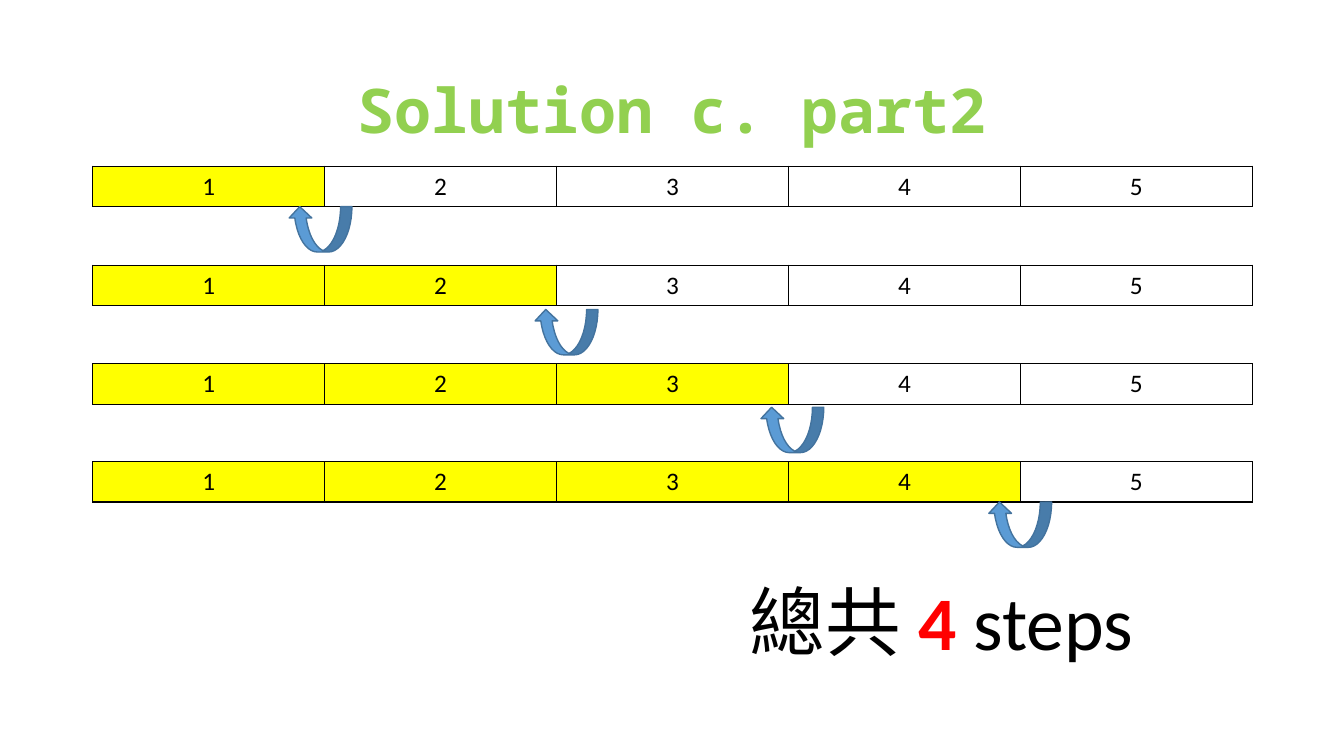
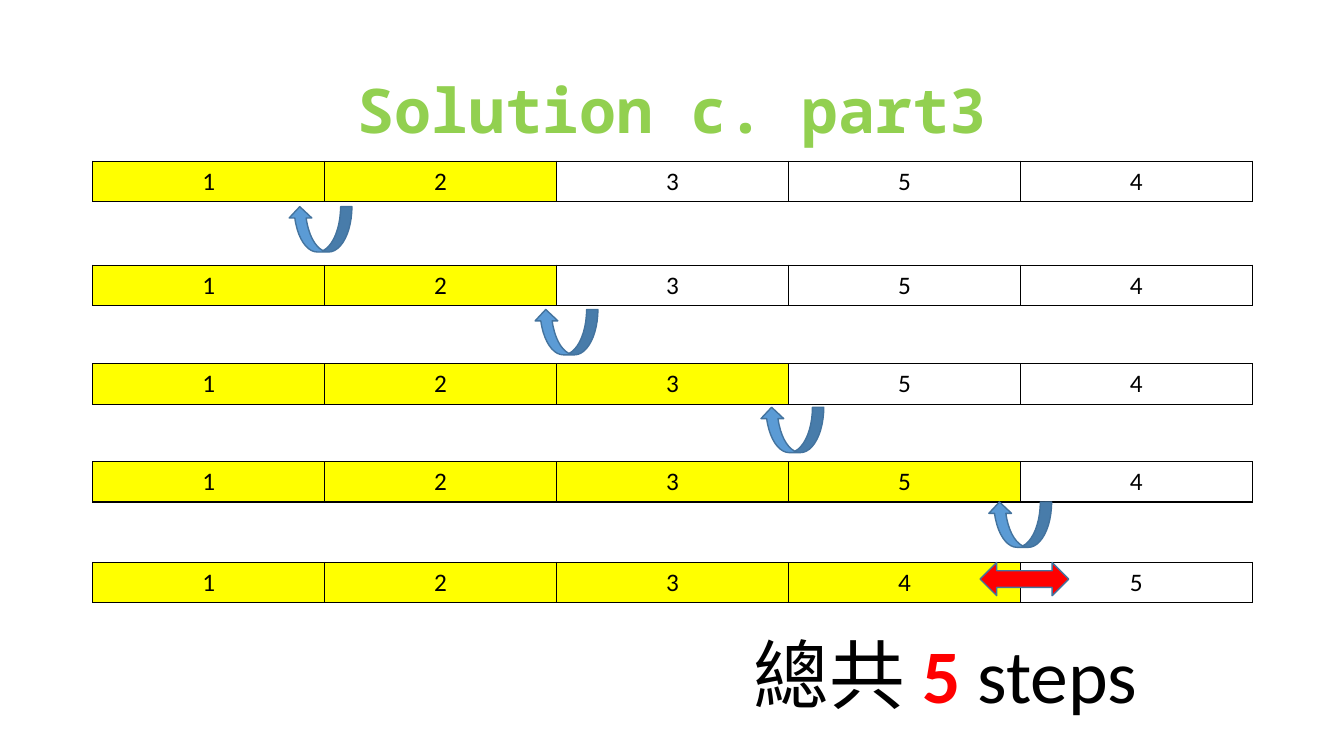
"""Build two slides that trace the comparison steps of a sort."""
from dataclasses import dataclass

from lxml import etree
from pptx import Presentation
from pptx.dml.color import RGBColor
from pptx.enum.shapes import MSO_SHAPE
from pptx.enum.text import MSO_ANCHOR, PP_ALIGN
from pptx.oxml.ns import qn
from pptx.util import Emu, Pt

PX = 9144
COLORS = {
    "title": "92D050",
    "text": "000000",
    "done": "FFFF00",
    "accent": "FF0000",
    "arrow": "5B9BD5",
    "outline": "43739E",
}
TITLE_FONT, BODY_FONT = "Noto Sans Mono", "Calibri"
CENTER, MIDDLE = PP_ALIGN.CENTER, MSO_ANCHOR.MIDDLE
CURVED, SWAP = MSO_SHAPE.CURVED_DOWN_ARROW, MSO_SHAPE.LEFT_RIGHT_ARROW
LEFT, COL_W, ROW_H = 92, 230, 40
BORDERS = ("a:lnL", "a:lnR", "a:lnT", "a:lnB")


@dataclass(frozen=True)
class Box:
    """A rectangle in px."""
    x: int
    y: int
    w: int
    h: int


@dataclass(frozen=True)
class Row:
    """One state of the list, with its sorted prefix highlighted."""
    y: int
    values: str
    done: int


@dataclass(frozen=True)
class Page:
    """The content of one slide."""
    title: str
    rows: tuple[Row, ...]
    steps: str
    total: Box
    swaps: tuple[Box, ...] = ()


TITLE_BOX = Box(LEFT, 40, 5 * COL_W, 145)
COMPARES = tuple(Box(x, y, 63, 45)
                 for x, y in ((286, 205), (530, 307), (754, 404), (980, 498)))
PAGES = (
    Page("Solution c. part2",
         (Row(165, "12345", 1), Row(263, "12345", 2),
          Row(361, "12345", 3), Row(458, "12345", 4)),
         "4", Box(734, 576, 430, 149)),
    Page("Solution c. part3",
         (Row(160, "12354", 2), Row(263, "12354", 2), Row(361, "12354", 3),
          Row(458, "12354", 4), Row(558, "12345", 4)),
         "5", Box(738, 628, 430, 60), (Box(972, 558, 88, 33),)),
)


def rgb(name: str) -> RGBColor:
    """Look up a named colour."""
    return RGBColor.from_string(COLORS[name])


def place(box: Box) -> tuple[Emu, Emu, Emu, Emu]:
    """Turn a px box into EMU."""
    return tuple(Emu(v * PX) for v in (box.x, box.y, box.w, box.h))


def add_run(p, text: str, size: int, color: str = "text",
            font: str = BODY_FONT, bold: bool = False) -> None:
    """Append a styled run."""
    r = p.add_run()
    r.text = text
    r.font.size, r.font.name, r.font.bold = Pt(size), font, bold
    r.font.color.rgb = rgb(color)


def add_textbox(s, box: Box):
    """Add a wrapping text box and return its text frame."""
    tf = s.shapes.add_textbox(*place(box)).text_frame
    tf.word_wrap = True
    tf.paragraphs[0].line_spacing = 0.9
    return tf


def add_title(s, text: str) -> None:
    """Add the centred slide title."""
    tf = add_textbox(s, TITLE_BOX)
    tf.vertical_anchor = MIDDLE
    p = tf.paragraphs[0]
    p.alignment = CENTER
    add_run(p, text, 44, "title", TITLE_FONT, True)


def add_total(s, box: Box, steps: str) -> None:
    """Add the line that counts the steps."""
    p = add_textbox(s, box).paragraphs[0]
    add_run(p, "總共 ", 54)
    add_run(p, steps, 54, "accent", bold=True)
    add_run(p, " steps", 54)


def add_borders(cell) -> None:
    """Draw a thin line on all sides of a cell."""
    tc_pr = cell._tc.get_or_add_tcPr()
    for i, tag in enumerate(BORDERS):
        ln = etree.Element(qn(tag), w=str(Pt(1)))
        fill = etree.SubElement(ln, qn("a:solidFill"))
        etree.SubElement(fill, qn("a:srgbClr"), val=COLORS["text"])
        tc_pr.insert(i, ln)


def add_row(s, row: Row) -> None:
    """Add the list as a one-row table."""
    n = len(row.values)
    box = Box(LEFT, row.y, n * COL_W, ROW_H)
    table = s.shapes.add_table(1, n, *place(box)).table
    table.first_row = table.horz_banding = False
    for i, value in enumerate(row.values):
        table.columns[i].width = Emu(COL_W * PX)
        cell = table.cell(0, i)
        if i < row.done:
            cell.fill.solid()
            cell.fill.fore_color.rgb = rgb("done")
        else:
            cell.fill.background()
        add_borders(cell)
        p = cell.text_frame.paragraphs[0]
        p.alignment = CENTER
        add_run(p, value, 18)


def add_arrow(s, kind: MSO_SHAPE, box: Box, color: str, rotation: int = 0) -> None:
    """Add a filled block arrow."""
    sp = s.shapes.add_shape(kind, *place(box))
    sp.shadow.inherit = False
    sp.rotation = rotation
    sp.fill.solid()
    sp.fill.fore_color.rgb = rgb(color)
    sp.line.color.rgb = rgb("outline")
    sp.line.width = Pt(1)


def add_page(prs, page: Page) -> None:
    """Add one slide."""
    s = prs.slides.add_slide(prs.slide_layouts[6])
    add_title(s, page.title)
    for row in page.rows:
        add_row(s, row)
    for box in COMPARES:
        add_arrow(s, CURVED, box, "arrow", 180)
    for box in page.swaps:
        add_arrow(s, SWAP, box, "accent")
    add_total(s, page.total, page.steps)


def main() -> None:
    """Build and save the presentation."""
    prs = Presentation()
    prs.slide_width, prs.slide_height = Emu(1333 * PX), Emu(750 * PX)
    for page in PAGES:
        add_page(prs, page)
    prs.save("out.pptx")


if __name__ == "__main__":
    main()
